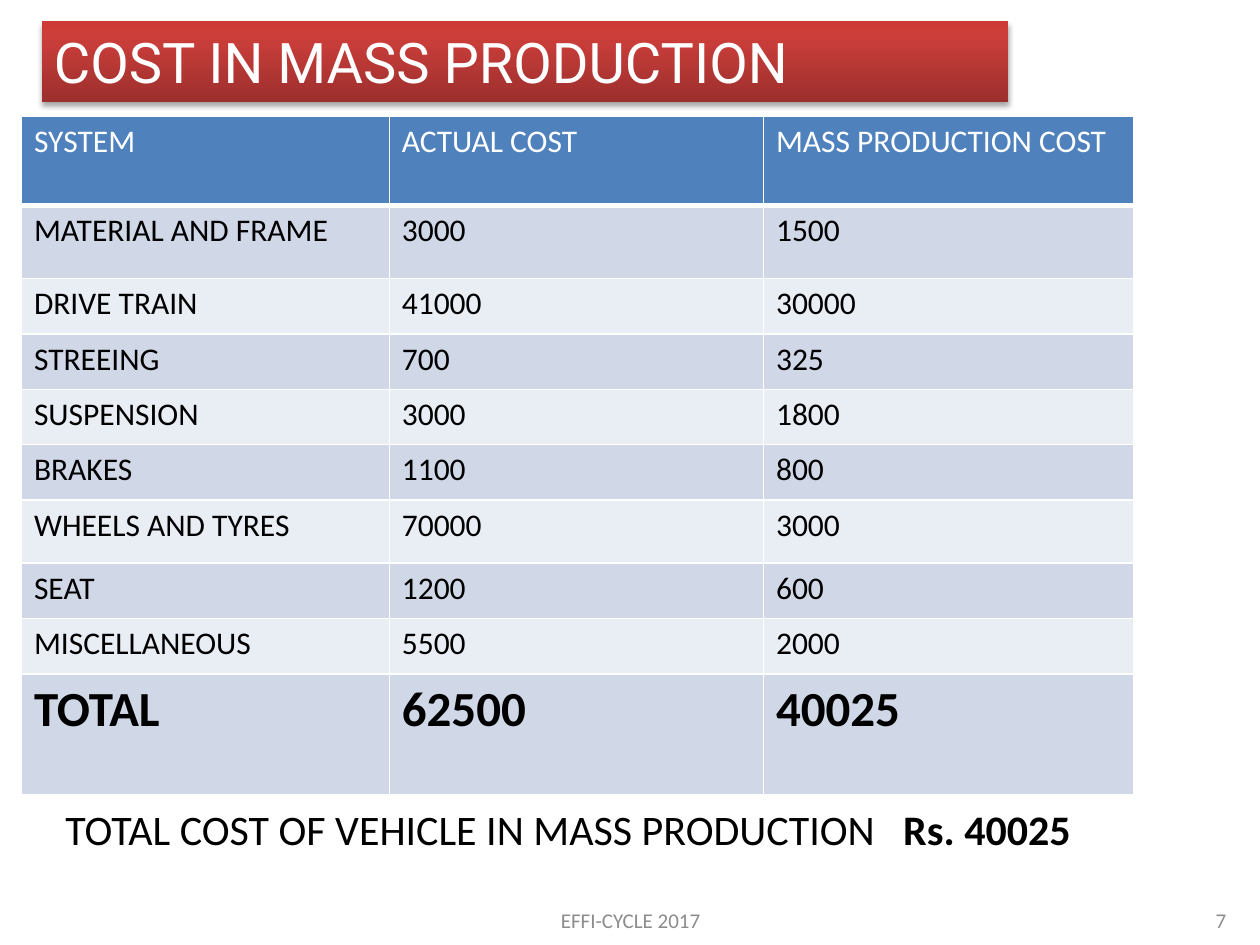
import copy

import pptx
import pptx.dml.color
import pptx.enum.shapes
import pptx.enum.text
import pptx.oxml.ns
import pptx.oxml.xmlchemy
import pptx.util
from lxml import etree
from pptx.util import Inches

ALIGN = pptx.enum.text.PP_ALIGN
ANCHOR = pptx.enum.text.MSO_ANCHOR
qn = pptx.oxml.ns.qn

COSTS = [
    ("SYSTEM", "ACTUAL COST", "MASS PRODUCTION COST"),
    ("MATERIAL AND FRAME", "3000", "1500"),
    ("DRIVE TRAIN", "41000", "30000"),
    ("STREEING", "700", "325"),
    ("SUSPENSION", "3000", "1800"),
    ("BRAKES", "1100", "800"),
    ("WHEELS AND TYRES", "70000", "3000"),
    ("SEAT", "1200", "600"),
    ("MISCELLANEOUS", "5500", "2000"),
    ("TOTAL", "62500", "40025"),
]
COLUMN_WIDTHS = [2.92, 2.97, 2.94]
ROW_HEIGHTS = [0.71, 0.58, 0.44, 0.44, 0.44, 0.44, 0.5, 0.44, 0.44, 0.96]


def color(value):
    return pptx.dml.color.RGBColor.from_string(value)


def add_text(para, text, font="Calibri", size=18, fill="000000", bold=False):
    span = para.add_run()
    span.text = text
    span.font.name = font
    span.font.size = pptx.util.Pt(size)
    span.font.color.rgb = color(fill)
    span.font.bold = bold


class CostSlide:
    header_fill = "4F81BD"
    bands = ("E9EDF4", "D0D8E8")
    muted = "8C8C8C"
    white = "FFFFFF"

    def __init__(self, deck):
        self.page = deck.slides.add_slide(deck.slide_layouts[6])

    def text_box(self, place, align=ALIGN.LEFT, anchor=ANCHOR.TOP):
        box = self.page.shapes.add_textbox(*map(Inches, place))
        box.text_frame.word_wrap = True
        box.text_frame.vertical_anchor = anchor
        para = box.text_frame.paragraphs[0]
        para.alignment = align
        return para

    def footer(self, text, place, align):
        para = self.text_box(place, align, ANCHOR.MIDDLE)
        add_text(para, text, size=12, fill=self.muted)

    def banner(self, text, place):
        box = self.page.shapes.add_shape(
            pptx.enum.shapes.MSO_SHAPE.RECTANGLE, *map(Inches, place))
        box.line.fill.background()
        # Dark red at the bottom, brighter towards the top
        box.fill.gradient()
        box.fill.gradient_angle = 90
        stop_list = box.fill._fill._gradFill.find(qn("a:gsLst"))
        stop_list.append(copy.deepcopy(stop_list[-1]))
        reds = [(0, "9C2F2D"), (0.8, "CB3E3A"), (1, "CE3B37")]
        for stop, (position, red) in zip(box.fill.gradient_stops, reds):
            stop.position = position
            stop.color.rgb = color(red)
        # Soft shadow below
        box.shadow.inherit = False
        effects = box._element.spPr.find(qn("a:effectLst"))
        shadow = etree.SubElement(
            effects, qn("a:outerShdw"), blurRad=str(pptx.util.Pt(3.1)),
            dist=str(pptx.util.Pt(1.8)), dir="5400000", rotWithShape="0")
        black = etree.SubElement(shadow, qn("a:srgbClr"), val="000000")
        etree.SubElement(black, qn("a:alpha"), val="35000")

        box.text_frame.word_wrap = True
        box.text_frame.vertical_anchor = ANCHOR.TOP
        para = box.text_frame.paragraphs[0]
        para.alignment = ALIGN.LEFT
        add_text(para, text, font="Roboto", size=32, fill=self.white)

    def cell_borders(self, cell, bottom):
        properties = cell._tc.get_or_add_tcPr()
        widths = {"a:lnL": 1, "a:lnR": 1, "a:lnT": 1, "a:lnB": bottom}
        for index, (side, width) in enumerate(widths.items()):
            line = etree.Element(qn(side), w=str(pptx.util.Pt(width)))
            solid = etree.SubElement(line, qn("a:solidFill"))
            etree.SubElement(solid, qn("a:srgbClr"), val=self.white)
            properties.insert(index, line)

    def table(self, rows, left, top, widths, heights):
        table = self.page.shapes.add_table(
            len(rows), len(widths), Inches(left), Inches(top),
            Inches(sum(widths)), Inches(sum(heights))).table
        for column, width in zip(table.columns, widths):
            column.width = Inches(width)
        for index, (row, height) in enumerate(zip(rows, heights)):
            table.rows[index].height = Inches(height)
            header, total = index == 0, index == len(rows) - 1
            for cell, text in zip(table.rows[index].cells, row):
                cell.fill.solid()
                cell.fill.fore_color.rgb = color(
                    self.header_fill if header else self.bands[index % 2])
                self.cell_borders(cell, bottom=3 if header else 1)
                add_text(cell.text_frame.paragraphs[0], text,
                         size=28 if total else 18, bold=total,
                         fill=self.white if header else "000000")

    def summary(self, label, amount, place, tab):
        para = self.text_box(place)
        tabs = etree.SubElement(para._p.get_or_add_pPr(), qn("a:tabLst"))
        etree.SubElement(tabs, qn("a:tab"), pos=str(Inches(tab)), algn="l")
        add_text(para, label + "\t", size=24)
        add_text(para, amount, size=24, bold=True)


def main():
    deck = pptx.Presentation()
    deck.slide_width, deck.slide_height = Inches(10), Inches(7.5)
    slide = CostSlide(deck)

    # Footer and page number
    slide.footer("EFFI-CYCLE 2017", (3.42, 7.1, 3.17, 0.4), ALIGN.CENTER)
    slide.footer("7", (7.5, 7.1, 2.33, 0.4), ALIGN.RIGHT)

    # Title
    slide.banner("COST IN MASS PRODUCTION", (0.33, 0.17, 7.67, 0.64))

    # Costs and their total
    slide.table(COSTS, 0.17, 0.92, COLUMN_WIDTHS, ROW_HEIGHTS)
    slide.summary("TOTAL COST OF VEHICLE IN MASS PRODUCTION", "Rs. 40025",
                  (0.42, 6.33, 8.58, 0.5), tab=6.65)

    deck.save("out.pptx")


if __name__ == "__main__":
    main()
